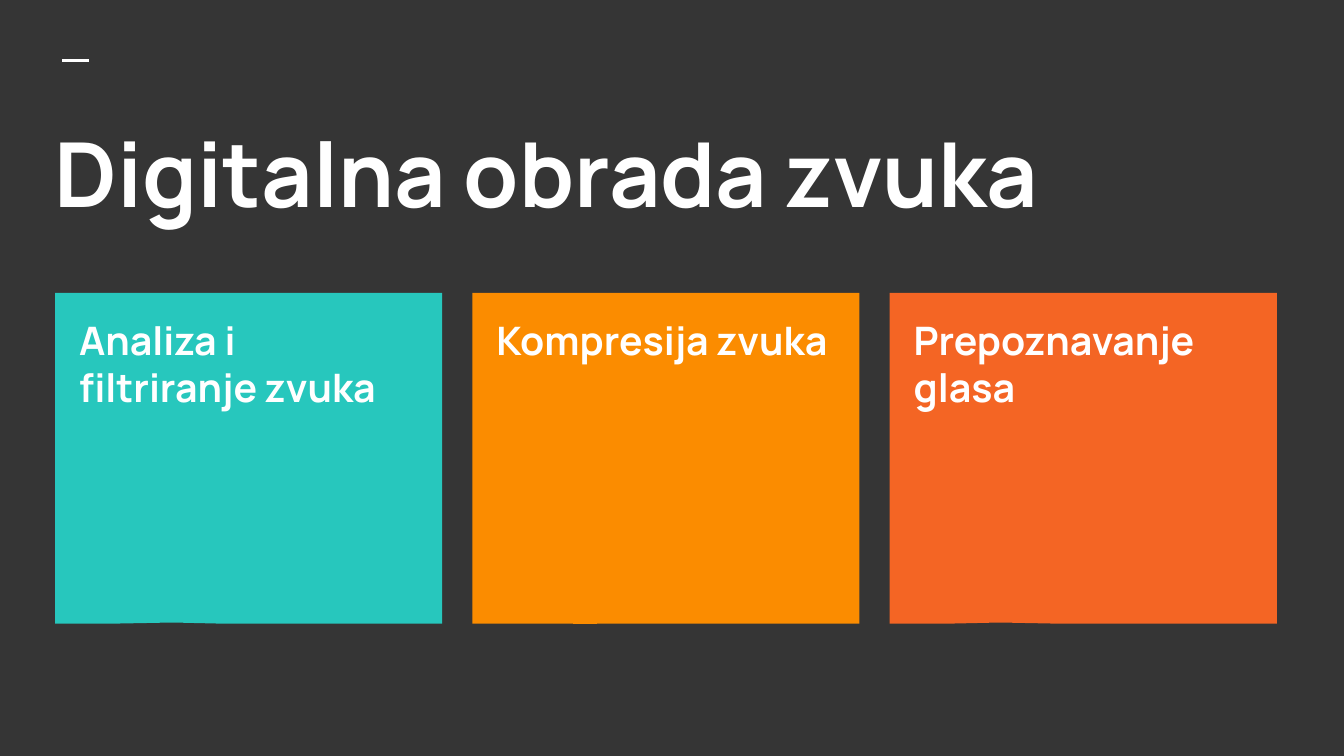
from dataclasses import dataclass

from pptx import Presentation
from pptx.dml.color import RGBColor
from pptx.enum.shapes import MSO_CONNECTOR as LINE, MSO_SHAPE as SHAPE
from pptx.enum.text import MSO_ANCHOR as ANCHOR, PP_ALIGN as ALIGN
from pptx.oxml.ns import qn
from pptx.slide import Slide
from pptx.util import Emu, Inches, Pt

PX = Inches(1) // 200
FONT = "Manrope"
WHITE = "FFFFFF"
LEFT, TOP, STEP = 82, 436, 621
WIDE, HIGH = 576, 492


@dataclass
class Card:
    """A coloured callout, its label and the place of its tip."""
    label: str
    fill: str
    tip: tuple[float, float]


CARDS = [
    Card("Analiza i filtriranje zvuka", "27C7BD", (-0.196, 0.497)),
    Card("Kompresija zvuka", "FB8C00", (-0.209, 0.501)),
    Card("Prepoznavanje glasa", "F46524", (-0.215, 0.497)),
]


def px(*sizes: int) -> list[Emu]:
    """Turn px lengths into EMU."""
    return [Emu(size * PX) for size in sizes]


def paint(color: str) -> RGBColor:
    """Turn a hex string into a colour."""
    return RGBColor.from_string(color)


def add_text(slide: Slide, text: str, box: tuple[int, int, int, int], size: int) -> None:
    """Add a bold white text box."""
    frame = slide.shapes.add_textbox(*px(*box)).text_frame
    frame.word_wrap = True
    frame.vertical_anchor = ANCHOR.TOP
    frame.margin_left, frame.margin_top, frame.margin_right, frame.margin_bottom = px(20, 20, 20, 20)
    para = frame.paragraphs[0]
    para.alignment = ALIGN.LEFT
    run = para.add_run()
    run.text = text
    font = run.font
    font.name, font.size, font.bold = FONT, Pt(size), True
    font.color.rgb = paint(WHITE)


def add_card(slide: Slide, card: Card, left: int) -> None:
    """Add a callout with its label on top."""
    shape = slide.shapes.add_shape(SHAPE.RECTANGULAR_CALLOUT, *px(left, TOP, WIDE, HIGH))
    shape.adjustments[0], shape.adjustments[1] = card.tip
    shape.shadow.inherit = False
    shape.fill.solid()
    shape.fill.fore_color.rgb = paint(card.fill)
    shape.line.fill.background()
    add_text(slide, card.label, (left + 16, TOP + 14, 542, 438), 21)


def add_dash(slide: Slide) -> None:
    """Add the short line above the title."""
    dash = slide.shapes.add_connector(LINE.STRAIGHT, *px(93, 90, 133, 90))
    dash.line.color.rgb = paint(WHITE)
    dash.line.width = Pt(1.5)
    props = dash._element.spPr
    props.append(props.makeelement(qn("a:effectLst"), {}))


def main() -> None:
    """Build and save the slide."""
    deck = Presentation()
    deck.slide_width, deck.slide_height = px(2000, 1125)
    slide = deck.slides.add_slide(deck.slide_layouts[6])
    back = slide.background.fill
    back.solid()
    back.fore_color.rgb = paint("353535")
    add_dash(slide)
    add_text(slide, "Digitalna obrada zvuka", (62, 156, 1886, 224), 48)
    for i, card in enumerate(CARDS):
        add_card(slide, card, LEFT + i * STEP)
    deck.save("out.pptx")


if __name__ == "__main__":
    main()
